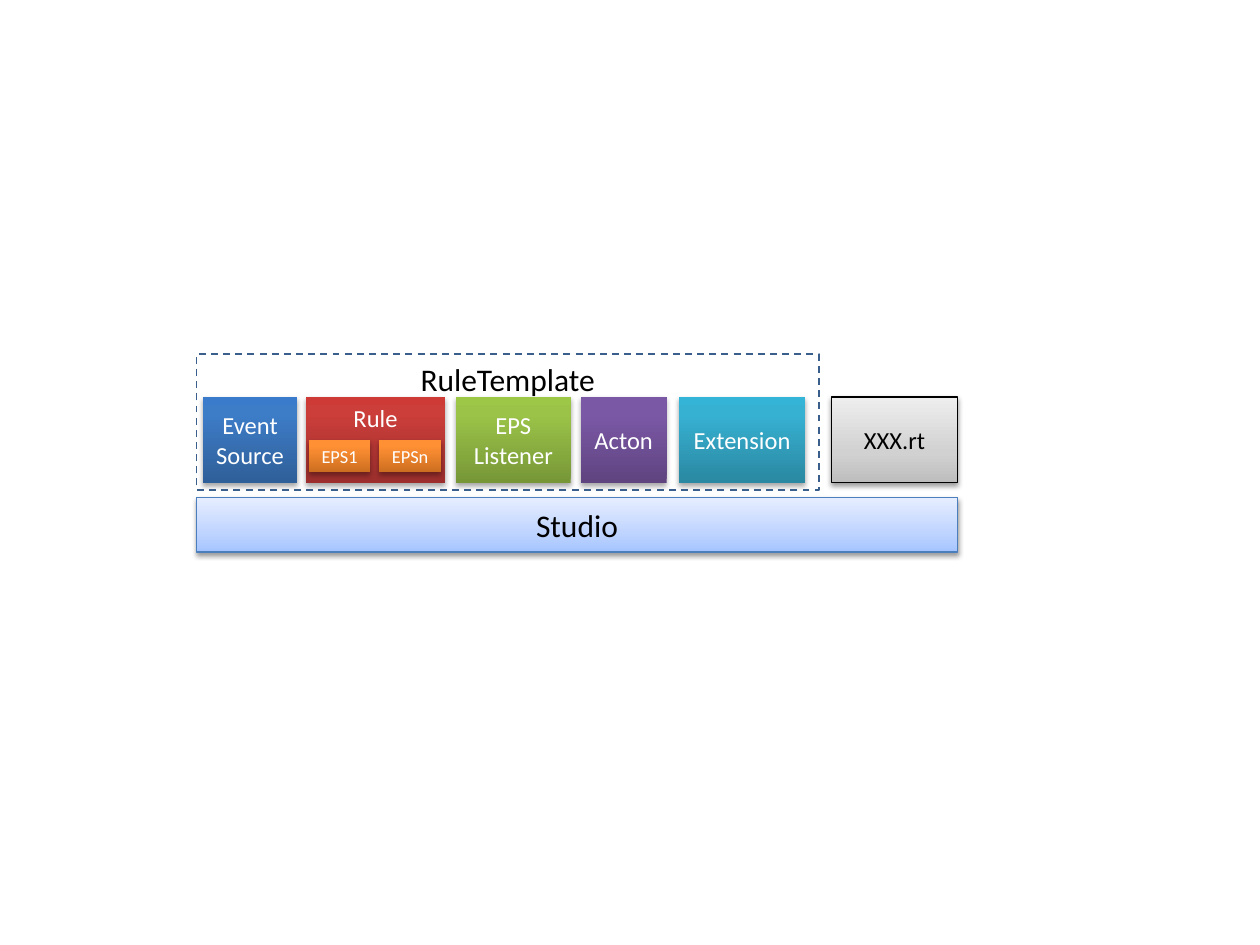
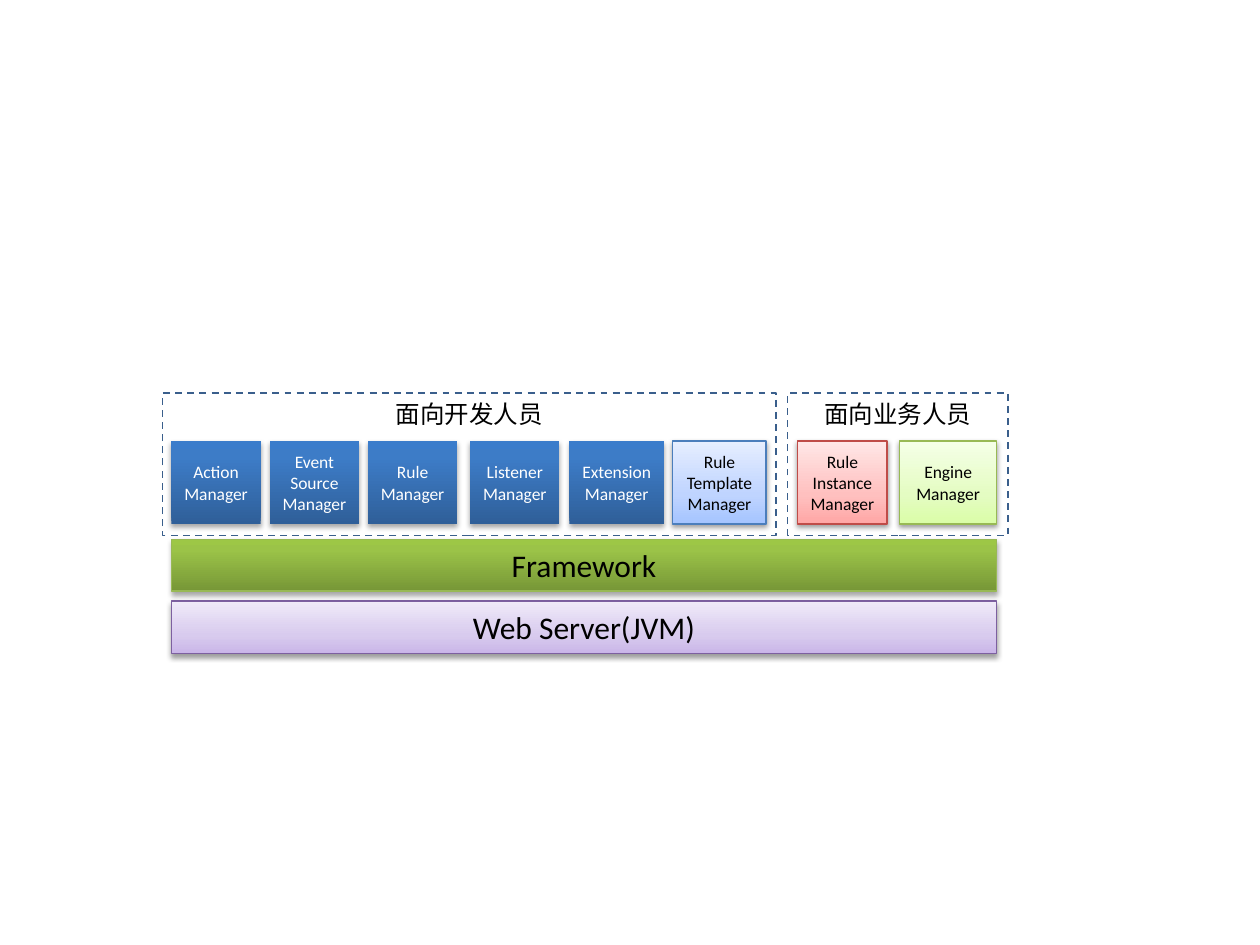
from copy import deepcopy

from lxml.etree import SubElement
from pptx import Presentation
from pptx.dml.color import RGBColor as Rgb
from pptx.enum.dml import MSO_LINE_DASH_STYLE as Dash
from pptx.enum.shapes import MSO_SHAPE as Shape
from pptx.enum.text import MSO_ANCHOR as Anchor, PP_ALIGN as Align
from pptx.oxml.ns import qn
from pptx.util import Pt

COLOURS = {
    "black": "000000", "white": "FFFFFF", "frame": "3A5F8C",
    "blue edge": "4B7EBC", "red edge": "BF4C48",
    "green edge": "98B955", "purple edge": "7D60A0",
}
STRONG = {
    "blue": ("2F5F99", "3D7CC7", "3A7CCB"),
    "red": ("9C2F2D", "CB3E3A", "CE3B37"),
    "green": ("779737", "9BC348", "9DC746"),
    "purple": ("5F4480", "7B58A6", "7C57A8"),
    "aqua": ("2A88A2", "37B1D2", "34B4D6"),
    "orange": ("CC6E20", "FF9034", "FF9136"),
}
SOFT = {
    "blue": ("A4C4FF", "BFD4FF", "E6EEFF"),
    "red": ("FFA6A5", "FFC0BF", "FFE7E7"),
    "green": ("DAFDA7", "E4FCC2", "F5FFE7"),
    "purple": ("C9B5E8", "D8CBEE", "F0EAF9"),
    "grey": ("BDBDBD", "D1D1D1", "EEEEEE"),
}


class Diagram:
    font = "Calibri"
    inset = 3.6

    def __init__(self):
        self.deck = Presentation()
        self.deck.slide_width, self.deck.slide_height = Pt(720), Pt(540)
        self.page = None

    def new_page(self):
        self.page = self.deck.slides.add_slide(self.deck.slide_layouts[6])

    def box(self, area, text, size, ink, edge=None, width=0.75, anchor=Anchor.MIDDLE):
        box = self.page.shapes.add_shape(Shape.RECTANGLE, *map(Pt, area))
        box.shadow.inherit = False
        if edge:
            box.line.color.rgb = Rgb.from_string(COLOURS[edge])
            box.line.width = Pt(width)
        else:
            box.line.fill.background()
        frame = box.text_frame
        frame.word_wrap = True
        frame.vertical_anchor = anchor
        frame.margin_left = frame.margin_right = Pt(self.inset)
        frame.text = text
        for para in frame.paragraphs:
            para.alignment = Align.CENTER
            for span in para.runs:
                span.font.name = self.font
                span.font.size = Pt(size)
                span.font.color.rgb = Rgb.from_string(COLOURS[ink])
        return box

    def shade(self, box, colours, middle):
        box.fill.gradient()
        box.fill.gradient_angle = 90
        stop_list = box.element.spPr.find(".//" + qn("a:gsLst"))
        stop_list.append(deepcopy(stop_list[-1]))
        for stop, place, colour in zip(box.fill.gradient_stops, (0, middle, 1), colours):
            stop.position = place
            stop.color.rgb = Rgb.from_string(colour)

    def cast_shadow(self, box, distance, opacity):
        effects = box.element.spPr.find(qn("a:effectLst"))
        shadow = SubElement(effects, qn("a:outerShdw"), blurRad=str(Pt(3.1)),
                            dist=str(Pt(distance)), dir="5400000", rotWithShape="0")
        colour = SubElement(shadow, qn("a:srgbClr"), val=COLOURS["black"])
        SubElement(colour, qn("a:alpha"), val=str(opacity * 1000))

    def strong(self, area, text, size, hue, ink="white", edge=None, anchor=Anchor.MIDDLE):
        box = self.box(area, text, size, ink, edge, anchor=anchor)
        self.shade(box, STRONG[hue], 0.8)
        self.cast_shadow(box, 1.8, 35)

    def soft(self, area, text, size, hue, edge):
        box = self.box(area, text, size, "black", edge)
        self.shade(box, SOFT[hue], 0.35)
        self.cast_shadow(box, 1.6, 38)

    def group(self, area, text, size):
        box = self.box(area, text, size, "black", "frame", 1, Anchor.TOP)
        box.fill.background()
        box.line.dash_style = Dash.DASH


def build_template_page(diagram):
    diagram.new_page()
    left, top, height = 112.3, 226.8, 49
    diagram.soft((left, 284.4, 434.9, 31), "Studio", 18, "blue", "blue edge")
    parts = [
        (115.9, 54, "Event\nSource", "blue", Anchor.MIDDLE),
        (175, 79.2, "Rule", "red", Anchor.TOP),
        (331.9, 49, "Acton", "purple", Anchor.MIDDLE),
        (260.6, 65.5, "EPS Listener", "green", Anchor.MIDDLE),
        (388.1, 72, "Extension", "aqua", Anchor.MIDDLE),
    ]
    for x, width, text, hue, anchor in parts:
        diagram.strong((x, top, width, height), text, 14, hue, anchor=anchor)
    for x, text in ((176.4, "EPS1"), (216.7, "EPSn")):
        diagram.strong((x, 251.3, 35.3, 18.7), text, 10.5, "orange")
    diagram.group((left, 202.3, 355.7, 77.8), "RuleTemplate", 18)
    diagram.soft((475.2, top, 72, height), "XXX.rt", 14, "grey", "black")


def build_manager_page(diagram):
    diagram.new_page()
    left, span, top, height = 97.9, 471.6, 252, 47.5
    diagram.soft((left, 343.4, span, 30.2), "Web Server(JVM)", 18, "purple", "purple edge")
    diagram.strong((left, 308.2, span, 29.5), "Framework", 18, "green", "black", "green edge")
    managers = [
        (left, 51.1, "Action"), (154.1, 51.1, "Event Source"), (210.2, 51.1, "Rule"),
        (268.6, 51.1, "Listener"), (325.4, 54, "Extension"),
    ]
    for x, width, name in managers:
        diagram.strong((x, top, width, height), f"{name} Manager", 10, "blue")
    soft_managers = [
        (384.5, 53.3, "Rule\nTemplate", "blue"),
        (455.8, 51.1, "Rule Instance", "red"),
        (514.1, 55.4, "Engine", "green"),
    ]
    for x, width, name, hue in soft_managers:
        diagram.soft((x, top, width, height), f"{name} Manager", 10, hue, f"{hue} edge")
    for x, width, text in ((92.9, 350.6, "面向开发人员"), (450, 126, "面向业务人员")):
        diagram.group((x, 224.6, width, 81.4), text, 14)


diagram = Diagram()
build_template_page(diagram)
build_manager_page(diagram)
diagram.deck.save("out.pptx")
